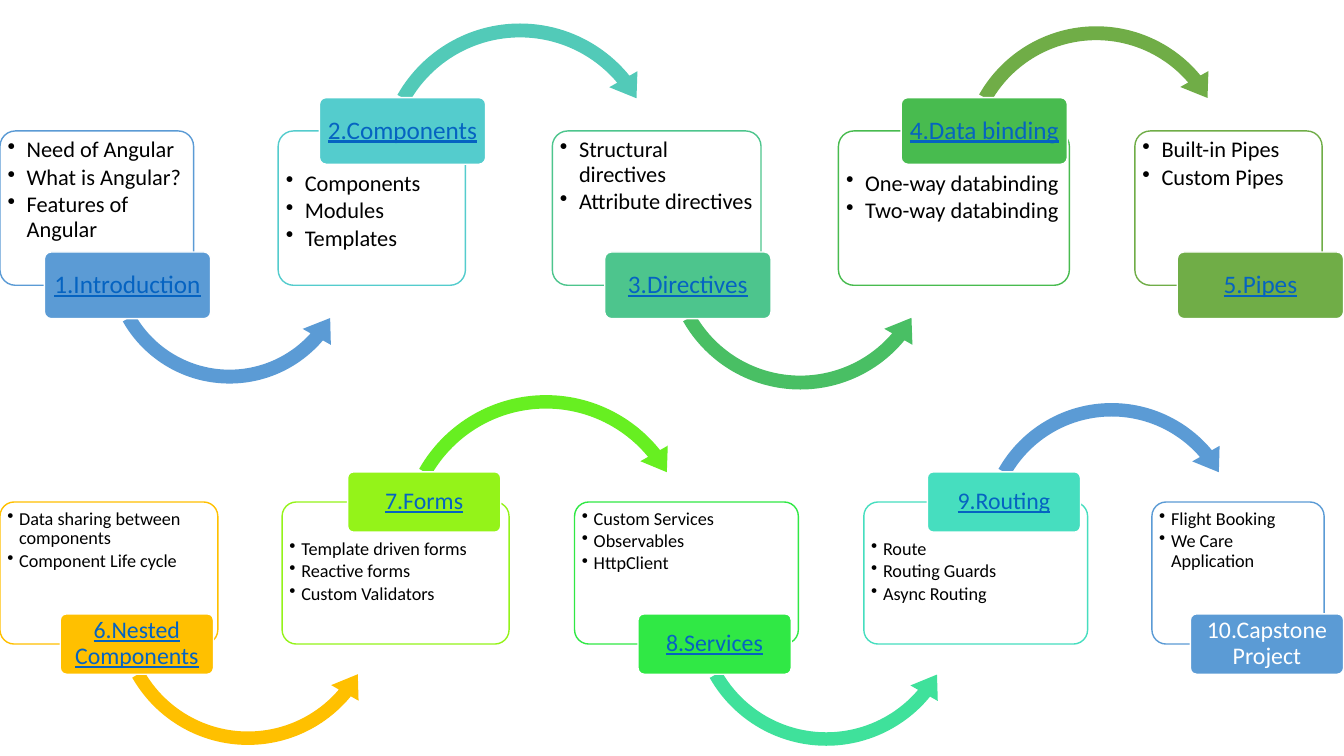
"""Build a two-row course roadmap slide: ten topics joined by curved arrows."""
from collections import namedtuple

from lxml.etree import SubElement
from pptx import Presentation
from pptx.dml.color import RGBColor
from pptx.enum.shapes import MSO_SHAPE as Preset
from pptx.enum.text import MSO_ANCHOR as Anchor, PP_ALIGN as Align
from pptx.oxml.ns import qn
from pptx.util import Cm, Pt

FONT = "Calibri"
COLOURS = {
    "blue": "5B9BD5", "cyan": "54CCCD", "aqua": "52CAB8", "jade": "4DC58D",
    "emerald": "49BF64", "green": "48BB4F", "olive": "70AD47",
    "amber": "FFC000", "lime": "94F319", "leaf": "67EF21", "neon": "30E845",
    "mint": "3FE19B", "turquoise": "46DEBF",
    "white": "FFFFFF", "black": "000000", "link": "0563C1",
}

Row = namedtuple(
    "Row", "top height label_width label_height label_size point_size indent band")
Topic = namedtuple("Topic", "title colour left width label_left points arrow")
Arrow = namedtuple("Arrow", "colour left top size swing")

BASICS = Row(3.3, 3.89, 4.19, 1.68, 18, 16, 0.48, 0.35)
ADVANCED = Row(12.65, 3.58, 3.86, 1.52, 17, 13, 0.3, 0.34)

ROADMAP = {
    BASICS: [
        Topic("1.Introduction", "blue", 0, 4.88, 1.12,
              ["Need of Angular", "What is Angular?", "Features of Angular"],
              Arrow("blue", 2.46, 3.25, 6.65, 6.87)),
        Topic("2.Components", "cyan", 7.01, 4.72, 8.05,
              ["Components", "Modules", "Templates"],
              Arrow("aqua", 9.32, 0.36, 7.57, 5.94)),
        Topic("3.Directives", "jade", 13.92, 5.26, 15.24,
              ["Structural directives", "Attribute directives"],
              Arrow("emerald", 16.54, 2.79, 7.26, 6.2)),
        Topic("4.Data binding", "green", 21.13, 5.82, 22.71,
              ["One-way databinding", "Two-way databinding"],
              Arrow("olive", 24, 0.43, 7.26, 6.2)),
        Topic("5.Pipes", "olive", 28.6, 4.72, 29.67,
              ["Built-in Pipes", "Custom Pipes"], None),
    ],
    ADVANCED: [
        Topic("6.Nested Components", "amber", 0, 5.49, 1.52,
              ["Data sharing between components", "Component Life cycle"],
              Arrow("amber", 2.67, 11.84, 7.16, 6.18)),
        Topic("7.Forms", "lime", 7.11, 5.72, 8.76,
              ["Template driven forms", "Reactive forms", "Custom Validators"],
              Arrow("leaf", 9.86, 9.73, 7.8, 5.61)),
        Topic("8.Services", "neon", 14.48, 5.64, 16.08,
              ["Custom Services", "Observables", "HttpClient"],
              Arrow("mint", 17.22, 11.81, 7.21, 6.13)),
        Topic("9.Routing", "turquoise", 21.77, 5.64, 23.37,
              ["Route", "Routing Guards", "Async Routing"],
              Arrow("blue", 24.51, 9.93, 7.01, 6.32)),
        Topic("10.Capstone Project", "blue", 29.03, 4.34, 30,
              ["Flight Booking", "We Care Application"], None),
    ],
}


def rgb(name):
    """Return the named colour."""
    return RGBColor.from_string(COLOURS[name])


def add_preset(slide, preset, place, fill, line=None):
    """Add a flat preset shape at a place given in centimetres."""
    shape = slide.shapes.add_shape(preset, *map(Cm, place))
    shape.shadow.inherit = False
    shape.fill.solid()
    shape.fill.fore_color.rgb = rgb(fill)
    if line:
        shape.line.color.rgb = rgb(line)
        shape.line.width = Pt(1)
    else:
        shape.line.fill.background()
    return shape


def add_rounded(slide, place, fill, line, anchor, insets):
    """Add a rounded box and return it with its text frame set up."""
    box = add_preset(slide, Preset.ROUNDED_RECTANGLE, place, fill, line)
    box.adjustments[0] = 0.1
    frame = box.text_frame
    frame.word_wrap = True
    frame.vertical_anchor = anchor
    frame.margin_left, frame.margin_top, frame.margin_right, frame.margin_bottom = map(
        Cm, insets)
    return box


def write(paragraph, text, size, colour, align):
    """Write one run into a paragraph."""
    paragraph.alignment = align
    paragraph.line_spacing = 0.9
    run = paragraph.add_run()
    run.text = text
    run.font.name = FONT
    run.font.size = Pt(size)
    run.font.color.rgb = rgb(colour)
    return run


def add_bullet(paragraph, indent):
    """Give a paragraph a hanging round bullet."""
    properties = paragraph._p.get_or_add_pPr()
    properties.set("marL", str(Cm(indent)))
    properties.set("indent", str(-Cm(indent)))
    SubElement(properties, qn("a:buChar"), char="•")


def add_details(slide, row, topic, label_below):
    """Add the outlined box that lists the points of a topic."""
    reserved = row.label_height / 2
    top_inset, bottom_inset = (0.08, reserved) if label_below else (0.08 + reserved, 0.08)
    details = add_rounded(
        slide, (topic.left, row.top, topic.width, row.height), "white",
        topic.colour, Anchor.TOP, (0.08, top_inset, 0.08, bottom_inset))
    fill_colour = details._element.spPr.find(qn("a:solidFill"))[0]
    SubElement(fill_colour, qn("a:alpha"), val="90000")
    frame = details.text_frame
    for index, point in enumerate(topic.points):
        paragraph = frame.add_paragraph() if index else frame.paragraphs[0]
        paragraph.level = 1
        paragraph.space_after = Pt(row.point_size * 0.15)
        write(paragraph, point, row.point_size, "black", Align.LEFT)
        add_bullet(paragraph, row.indent)


def add_arrow(slide, row, arrow, label_below):
    """Add the curved arrow that leads to the next topic."""
    preset = Preset.LEFT_CIRCULAR_ARROW if label_below else Preset.CIRCULAR_ARROW
    curve = add_preset(
        slide, preset, (arrow.left, arrow.top, arrow.size, arrow.size), arrow.colour)
    thickness = row.band / arrow.size
    if label_below:
        tip, tail = 17.755 + arrow.swing, 90.245
    else:
        tip, tail = 198.245 - arrow.swing, 125.755
    for index, value in enumerate((thickness, arrow.swing, tip, tail, thickness * 7 / 6)):
        curve.adjustments[index] = value


def add_label(slide, row, topic, label_below):
    """Add the filled label that straddles an edge of the details box."""
    edge = row.top + (row.height if label_below else 0)
    label = add_rounded(
        slide,
        (topic.label_left, edge - row.label_height / 2, row.label_width, row.label_height),
        topic.colour, "white", Anchor.MIDDLE, (0.1, 0.06, 0.1, 0.06))
    is_link = topic.title != "10.Capstone Project"
    title = write(label.text_frame.paragraphs[0], topic.title, row.label_size,
                  "link" if is_link else "white", Align.CENTER)
    title.font.underline = is_link


def main():
    """Build and save the slide."""
    deck = Presentation()
    deck.slide_width, deck.slide_height = Cm(33.87), Cm(19.05)
    slide = deck.slides.add_slide(deck.slide_layouts[6])
    for row, topics in ROADMAP.items():
        for position, topic in enumerate(topics):
            label_below = position % 2 == 0
            add_details(slide, row, topic, label_below)
            if topic.arrow:
                add_arrow(slide, row, topic.arrow, label_below)
            add_label(slide, row, topic, label_below)
    deck.save("out.pptx")


if __name__ == "__main__":
    main()
